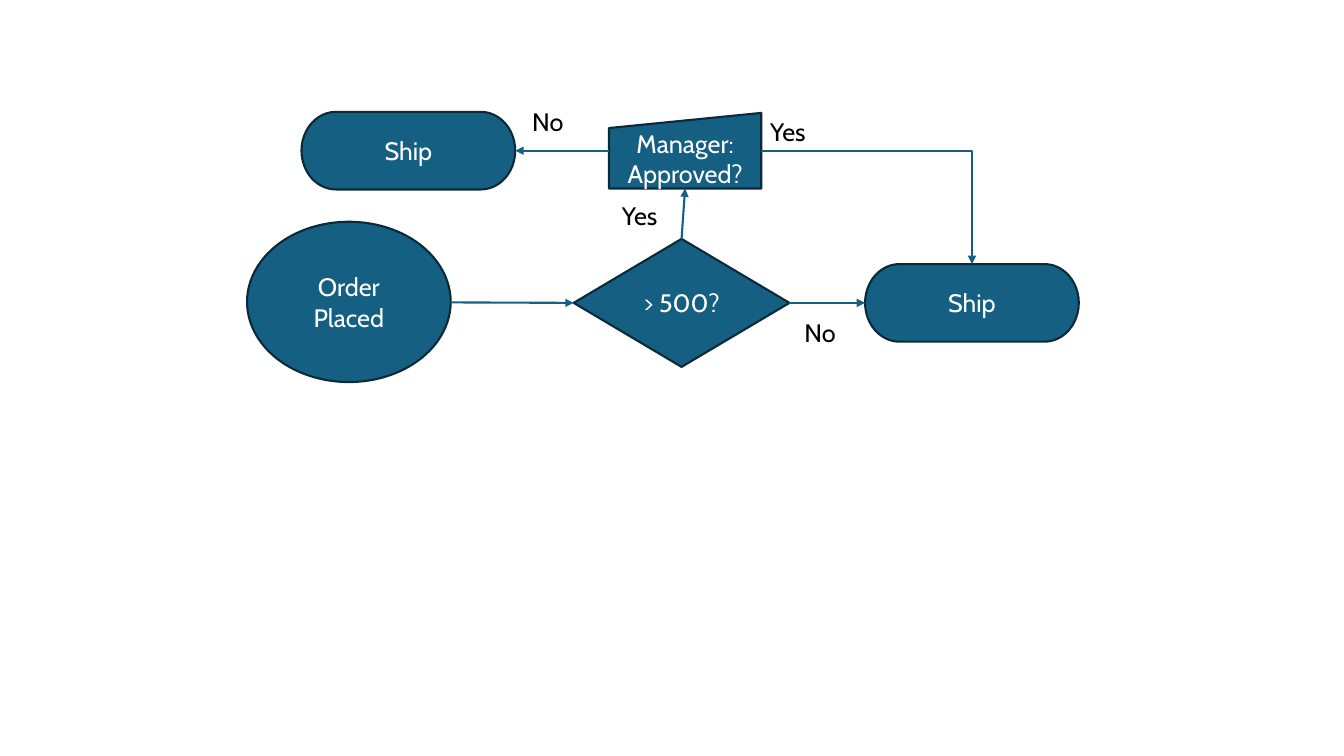
from lxml import etree
from pptx import Presentation
from pptx.dml.color import RGBColor
from pptx.enum.shapes import MSO_CONNECTOR, MSO_SHAPE
from pptx.enum.text import MSO_ANCHOR, MSO_AUTO_SIZE, PP_ALIGN
from pptx.oxml.ns import qn
from pptx.util import Inches, Pt

ELLIPSE = MSO_SHAPE.OVAL
TERMINATOR = MSO_SHAPE.FLOWCHART_TERMINATOR
DECISION = MSO_SHAPE.FLOWCHART_DECISION
MANUAL_INPUT = MSO_SHAPE.FLOWCHART_MANUAL_INPUT
STRAIGHT, ELBOW = MSO_CONNECTOR.STRAIGHT, MSO_CONNECTOR.ELBOW
CENTER, LEFT = PP_ALIGN.CENTER, PP_ALIGN.LEFT
MIDDLE = MSO_ANCHOR.MIDDLE
FIT_SHAPE = MSO_AUTO_SIZE.SHAPE_TO_FIT_TEXT
TOP_SIDE, LEFT_SIDE, BOTTOM_SIDE, RIGHT_SIDE = range(4)

BLUE, NAVY, WHITE, BLACK = "156082", "092A39", "FFFFFF", "000000"
FONT_FORMAT = {"name": "Cabin", "size": Pt(18)}
LINE_WIDTH = Pt(1.5)


def rgb(value):
    return RGBColor.from_string(value)


def write_text(frame, text, color, alignment):
    frame.word_wrap = True
    frame.text = text
    for paragraph in frame.paragraphs:
        paragraph.alignment = alignment
        font = paragraph.runs[0].font
        for attribute, value in FONT_FORMAT.items():
            setattr(font, attribute, value)
        font.color.rgb = rgb(color)


def add_step(slide, kind, text, left, top, width, height):
    step = slide.shapes.add_shape(
        kind, Inches(left), Inches(top), Inches(width), Inches(height))
    step.shadow.inherit = False
    step.fill.solid()
    step.fill.fore_color.rgb = rgb(BLUE)
    step.line.color.rgb = rgb(NAVY)
    step.line.width = LINE_WIDTH
    step.text_frame.vertical_anchor = MIDDLE
    write_text(step.text_frame, text, WHITE, CENTER)
    return step


def add_answer(slide, text, left, top):
    answer = slide.shapes.add_textbox(
        Inches(left), Inches(top), Inches(0.83), Inches(0.4))
    write_text(answer.text_frame, text, BLACK, LEFT)
    answer.text_frame.auto_size = FIT_SHAPE


def add_arrow(slide, start, end, source=None, target=None, kind=STRAIGHT):
    """Draw an arrow; source and target are (step, side) pairs to join."""
    arrow = slide.shapes.add_connector(
        kind, *(Inches(value) for value in (*start, *end)))
    if source:
        arrow.begin_connect(*source)
    if target:
        arrow.end_connect(*target)
    arrow.line.color.rgb = rgb(BLUE)
    arrow.line.width = LINE_WIDTH
    properties = arrow._element.spPr
    if kind == ELBOW:
        properties.find(qn("a:prstGeom")).set("prst", "bentConnector2")
    etree.SubElement(properties.find(qn("a:ln")), qn("a:tailEnd"), type="triangle")
    etree.SubElement(properties, qn("a:effectLst"))


def main():
    presentation = Presentation()
    presentation.slide_width = Inches(13.33)
    presentation.slide_height = Inches(7.5)
    slide = presentation.slides.add_slide(presentation.slide_layouts[6])

    add_step(slide, ELLIPSE, "Order Placed", 2.45, 2.2, 2.02, 1.59)
    amount = add_step(slide, DECISION, "> 500?", 5.69, 2.37, 2.14, 1.27)
    manager = add_step(
        slide, MANUAL_INPUT, "Manager:\nApproved?", 6.04, 1.12, 1.51, 0.75)
    right_ship, left_ship = (
        add_step(slide, TERMINATOR, "Ship", left, top, 2.12, 0.77)
        for left, top in ((8.58, 2.62), (2.99, 1.11)))

    add_arrow(slide, (4.47, 3), (5.69, 3), target=(amount, LEFT_SIDE))
    add_arrow(slide, (7.84, 3), (8.58, 3),
              (amount, RIGHT_SIDE), (right_ship, LEFT_SIDE))
    add_arrow(slide, (6.77, 2.37), (6.79, 1.86),
              (amount, TOP_SIDE), (manager, BOTTOM_SIDE))
    add_arrow(slide, (7.54, 1.49), (9.64, 2.62),
              (manager, RIGHT_SIDE), (right_ship, TOP_SIDE), ELBOW)
    add_arrow(slide, (6.04, 1.49), (5.11, 1.49),
              (manager, LEFT_SIDE), (left_ship, RIGHT_SIDE))

    for text, left, top in (("No", 7.88, 3.1), ("Yes", 6.07, 1.94),
                            ("Yes", 7.54, 1.1), ("No", 5.18, 1.01)):
        add_answer(slide, text, left, top)

    presentation.save("out.pptx")


if __name__ == "__main__":
    main()
